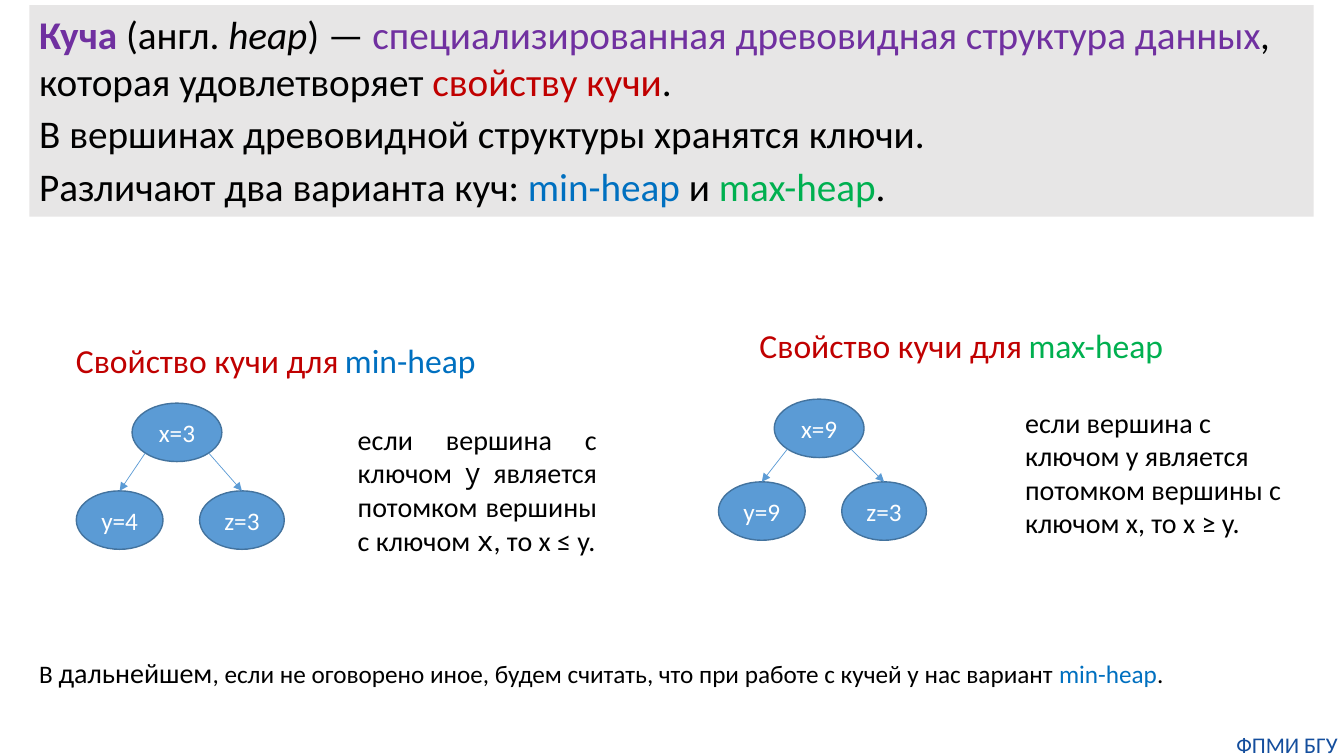
from math import sqrt

from pptx import Presentation
from pptx.dml.color import RGBColor
from pptx.enum.shapes import MSO_CONNECTOR, MSO_SHAPE
from pptx.enum.text import MSO_ANCHOR, PP_ALIGN
from pptx.oxml.ns import qn
from pptx.util import Inches, Pt
from lxml.etree import SubElement

BLACK = RGBColor(0x00, 0x00, 0x00)
WHITE = RGBColor(0xFF, 0xFF, 0xFF)
GRAY = RGBColor(0xE7, 0xE6, 0xE6)
PURPLE = RGBColor(0x70, 0x30, 0xA0)
RED = RGBColor(0xC0, 0x00, 0x00)
BLUE = RGBColor(0x00, 0x70, 0xC0)
GREEN = RGBColor(0x00, 0xB0, 0x50)
NAVY = RGBColor(0x14, 0x4E, 0x9D)
NODE_FILL = RGBColor(0x5B, 0x9B, 0xD5)
NODE_LINE = RGBColor(0x43, 0x73, 0x9E)

deck = Presentation()
deck.slide_width, deck.slide_height = Inches(13.33), Inches(7.5)
slide = deck.slides.add_slide(deck.slide_layouts[6])
shapes = slide.shapes

# Grid of 100 columns by 100 rows
COL, ROW = deck.slide_width / 100, deck.slide_height / 100


def area(col, row, cols, rows):
    return int(col * COL), int(row * ROW), int(cols * COL), int(rows * ROW)


def write(shape, paragraphs, size=20, color=BLACK, align=PP_ALIGN.LEFT,
          anchor=MSO_ANCHOR.TOP, after=0, wrap=True, margin=None):
    """Each paragraph is a list of runs: (text, changes to the format)."""
    frame = shape.text_frame
    frame.word_wrap, frame.vertical_anchor = wrap, anchor
    if margin is not None:
        frame.margin_left = frame.margin_right = margin
        frame.margin_top = frame.margin_bottom = margin
    for number, runs in enumerate(paragraphs):
        paragraph = frame.add_paragraph() if number else frame.paragraphs[0]
        paragraph.alignment, paragraph.space_after = align, Pt(after)
        for text, changes in runs:
            run = paragraph.add_run()
            run.text = text
            run.font.name = changes.get("font", "Calibri")
            run.font.size = Pt(changes.get("size", size))
            run.font.color.rgb = changes.get("color", color)
            run.font.bold = changes.get("bold", False)
            run.font.italic = changes.get("italic", False)


# Footer
footer = shapes.add_textbox(*area(91.52, 96.67, 8.48, 3.6))
write(footer, [[("ФПМИ БГУ", {})]], size=16, color=NAVY,
      align=PP_ALIGN.CENTER, margin=0)

# Definition panel
definition = shapes.add_shape(MSO_SHAPE.RECTANGLE, *area(2.18, 0.67, 95.57, 28))
definition.shadow.inherit = False
definition.fill.solid()
definition.fill.fore_color.rgb = GRAY
definition.line.fill.background()
write(definition, [
    [("Куча", {"color": PURPLE, "bold": True}),
     (" (англ. ", {}),
     ("heap", {"italic": True}),
     (") — ", {}),
     ("специализированная древовидная структура данных", {"color": PURPLE}),
     (", которая удовлетворяет ", {}),
     ("свойству кучи", {"color": RED}),
     (".", {})],
    [("В вершинах древовидной структуры хранятся ключи.", {})],
    [("Различают два варианта куч: ", {}),
     ("min-heap", {"color": BLUE}),
     (" и ", {}),
     ("max-heap", {"color": GREEN}),
     (".", {})],
], size=28, after=4)

# Heap variants: name, colour, title place, root place, child drop, keys,
# rule area, rule alignment, rule runs
MONO = {"font": "Noto Sans Mono"}
heaps = [
    ("min-heap", BLUE, (2.4, 44.27), (9.83, 53.33), 11.6, ("x=3", "y=4", "z=3"),
     (25.88, 55.2, 19.28, 19.33), PP_ALIGN.JUSTIFY,
     [("если вершина с ключом ", {}), ("y", MONO),
      (" является потомком вершины с ключом ", {}), ("x", MONO),
      (", то x ≤ y.", {})]),
    ("max-heap", GREEN, (53.41, 42.27), (57.61, 52.8), 10.93, ("x=9", "y=9", "z=3"),
     (75.54, 52.93, 22.2, 19.33), PP_ALIGN.LEFT,
     [("если вершина с ключом y является потомком вершины с ключом x, "
       "то x ≥ y.", {})]),
]
NODE_ROWS = 7.73
NODE_OFFSETS = (0, -4.15, 5.02)
NODE_COLS = (6.68, 6.45, 6.3)

for name, color, title_at, (root_col, root_row), drop, keys, rule_at, align, rule in heaps:
    title = shapes.add_textbox(*area(*title_at, 36.23, 6.67))
    write(title, [[("Cвойство кучи для", {"color": RED}), (" ", {"size": 20}),
                   (name, {"color": color})]], size=24, align=PP_ALIGN.CENTER)

    # Tree nodes: root, left child, right child
    nodes = []
    for key, offset, cols in zip(keys, NODE_OFFSETS, NODE_COLS):
        row = root_row + (drop if offset else 0)
        node = shapes.add_shape(MSO_SHAPE.OVAL,
                                *area(root_col + offset, row, cols, NODE_ROWS))
        node.shadow.inherit = False
        node.fill.solid()
        node.fill.fore_color.rgb = NODE_FILL
        node.line.color.rgb = NODE_LINE
        node.line.width = Pt(1)
        write(node, [[(key, {})]], size=18, color=WHITE,
              align=PP_ALIGN.CENTER, anchor=MSO_ANCHOR.MIDDLE)
        nodes.append(node)

    # Arrows leave the root's rim at 45 degrees and end on top of each child
    root, *children = nodes
    for side, child in zip((-1, 1), children):
        start_x = root.left + root.width / 2 * (1 + side / sqrt(2))
        start_y = root.top + root.height / 2 * (1 + 1 / sqrt(2))
        arrow = shapes.add_connector(MSO_CONNECTOR.STRAIGHT, int(start_x), int(start_y),
                                     child.left + child.width // 2, child.top)
        arrow.end_connect(child, 0)
        arrow.line.color.rgb = NODE_FILL
        arrow.line.width = Pt(0.5)
        SubElement(arrow.line._get_or_add_ln(), qn("a:tailEnd"), type="triangle")
        SubElement(arrow._element.spPr, qn("a:effectLst"))

    write(shapes.add_textbox(*area(*rule_at)), [rule], align=align)

# Closing remark
remark = shapes.add_textbox(*area(2.18, 86, 86.2, 5.87))
write(remark, [[
    ("В ", {}),
    ("дальнейшем", {"size": 20}),
    (", если не оговорено иное, будем считать, что при работе с кучей "
     "у нас вариант ", {}),
    ("min-heap", {"color": BLUE}),
    (".", {}),
]], size=18, wrap=False)

deck.save("out.pptx")
